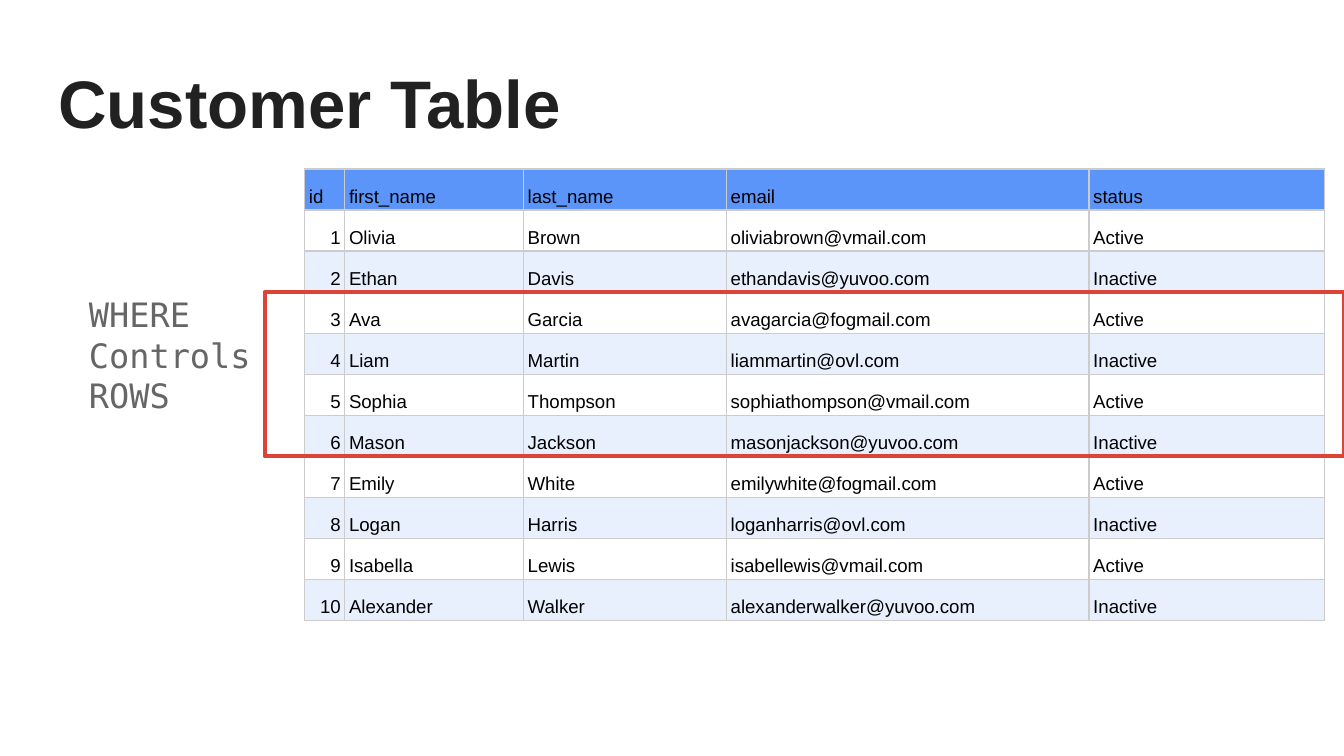
import pptx
import pptx.util
import pptx.dml.color
import pptx.enum.shapes
import pptx.enum.text
import lxml.etree

Pt = pptx.util.Pt
RGBColor = pptx.dml.color.RGBColor
Anchor = pptx.enum.text.MSO_ANCHOR
Align = pptx.enum.text.PP_ALIGN
AutoSize = pptx.enum.text.MSO_AUTO_SIZE

WHITE = RGBColor(0xFF, 0xFF, 0xFF)
BLACK = RGBColor(0x00, 0x00, 0x00)
TITLE_INK = RGBColor(0x21, 0x21, 0x21)
NOTE_GRAY = RGBColor(0x66, 0x66, 0x66)
HEADER_BLUE = RGBColor(0x5B, 0x95, 0xF9)
BAND_BLUE = RGBColor(0xE8, 0xF0, 0xFE)
GRID_GRAY = RGBColor(0xCC, 0xCC, 0xCC)
HIGHLIGHT_RED = RGBColor(0xDB, 0x44, 0x37)

DRAWING_NS = "http://schemas.openxmlformats.org/drawingml/2006/main"
ROW_HEIGHT = 22
COLUMN_WIDTHS = [21.5, 95.75, 108.75, 194.25, 126]
FRAME_INSETS = dict.fromkeys(
    ["margin_left", "margin_right", "margin_top", "margin_bottom"], Pt(7.2))
CELL_FORMAT = {
    "margin_left": Pt(2.25), "margin_right": Pt(2.25),
    "margin_top": Pt(1.5), "margin_bottom": Pt(1.5),
    "vertical_anchor": Anchor.BOTTOM,
}
CUSTOMERS = [
    ("id", "first_name", "last_name", "email", "status"),
    ("1", "Olivia", "Brown", "oliviabrown@vmail.com", "Active"),
    ("2", "Ethan", "Davis", "ethandavis@yuvoo.com", "Inactive"),
    ("3", "Ava", "Garcia", "avagarcia@fogmail.com", "Active"),
    ("4", "Liam", "Martin", "liammartin@ovl.com", "Inactive"),
    ("5", "Sophia", "Thompson", "sophiathompson@vmail.com", "Active"),
    ("6", "Mason", "Jackson", "masonjackson@yuvoo.com", "Inactive"),
    ("7", "Emily", "White", "emilywhite@fogmail.com", "Active"),
    ("8", "Logan", "Harris", "loganharris@ovl.com", "Inactive"),
    ("9", "Isabella", "Lewis", "isabellewis@vmail.com", "Active"),
    ("10", "Alexander", "Walker", "alexanderwalker@yuvoo.com", "Inactive"),
]


def set_format(target, values):
    for attribute, value in values.items():
        setattr(target, attribute, value)


def set_font(paragraph, color, **values):
    set_format(paragraph.font, values)
    paragraph.font.color.rgb = color


def add_cell_borders(cell):
    properties = cell._tc.get_or_add_tcPr()
    for side in ("lnL", "lnR", "lnT", "lnB"):
        border = lxml.etree.SubElement(
            properties, f"{{{DRAWING_NS}}}{side}", w=str(Pt(0.75)))
        fill = lxml.etree.SubElement(border, f"{{{DRAWING_NS}}}solidFill")
        lxml.etree.SubElement(
            fill, f"{{{DRAWING_NS}}}srgbClr", val=str(GRID_GRAY))


def place_title(slide, left, top, width, height):
    title = slide.shapes.title
    set_format(title, {"left": Pt(left), "top": Pt(top),
                       "width": Pt(width), "height": Pt(height)})
    title.text_frame.text = "Customer Table"
    set_format(title.text_frame, {
        **FRAME_INSETS, "word_wrap": True, "auto_size": AutoSize.NONE,
        "vertical_anchor": Anchor.BOTTOM})
    heading = title.text_frame.paragraphs[0]
    heading.alignment = Align.LEFT
    set_font(heading, TITLE_INK, name="Arial", size=Pt(36), bold=True)


def place_customers(slide, left, top):
    customers = slide.shapes.add_table(
        len(CUSTOMERS), len(COLUMN_WIDTHS), Pt(left), Pt(top),
        Pt(sum(COLUMN_WIDTHS)), Pt(ROW_HEIGHT * len(CUSTOMERS))).table
    set_format(customers, {"first_row": False, "horz_banding": False})
    for column, width in zip(customers.columns, COLUMN_WIDTHS):
        column.width = Pt(width)
    for row_index, record in enumerate(CUSTOMERS):
        customers.rows[row_index].height = Pt(ROW_HEIGHT)
        band = WHITE if row_index % 2 else BAND_BLUE
        for column_index, entry in enumerate(record):
            cell = customers.cell(row_index, column_index)
            set_format(cell, {**CELL_FORMAT, "text": entry})
            add_cell_borders(cell)
            cell.fill.solid()
            cell.fill.fore_color.rgb = band if row_index else HEADER_BLUE
            paragraph = cell.text_frame.paragraphs[0]
            set_format(paragraph, {
                "line_spacing": 1.15,
                "alignment": Align.RIGHT if entry.isdigit() else Align.LEFT})
            set_font(paragraph, BLACK, name="Arial", size=Pt(10))


def place_row_highlight(slide, left, top, width, height):
    highlight = slide.shapes.add_shape(
        pptx.enum.shapes.MSO_SHAPE.RECTANGLE,
        Pt(left), Pt(top), Pt(width), Pt(height))
    highlight.shadow.inherit = False
    highlight.fill.background()
    highlight.line.color.rgb = HIGHLIGHT_RED
    highlight.line.width = Pt(2.25)


def place_where_note(slide, left, top, width, height):
    note = slide.shapes.add_textbox(
        Pt(left), Pt(top), Pt(width), Pt(height)).text_frame
    note.text = "WHERE\nControls\nROWS"
    set_format(note, {**FRAME_INSETS, "word_wrap": True,
                      "auto_size": AutoSize.SHAPE_TO_FIT_TEXT})
    for paragraph in note.paragraphs:
        set_font(paragraph, NOTE_GRAY, name="DejaVu Sans Mono", size=Pt(18))


def main():
    deck = pptx.Presentation()
    set_format(deck, {"slide_width": Pt(720), "slide_height": Pt(405)})
    slide = deck.slides.add_slide(deck.slide_layouts[5])
    table_left, table_top = 163.25, 90.5
    highlight_left = 141.75
    first_row, row_count = 3, 4
    place_title(slide, 24, 24.5, 672, 59)
    place_customers(slide, table_left, table_top)
    place_row_highlight(
        slide, highlight_left, table_top + first_row * ROW_HEIGHT,
        720 - highlight_left, row_count * ROW_HEIGHT)
    place_where_note(slide, 40.5, 150.5, 112.5, 80)
    deck.save("out.pptx")


if __name__ == "__main__":
    main()
